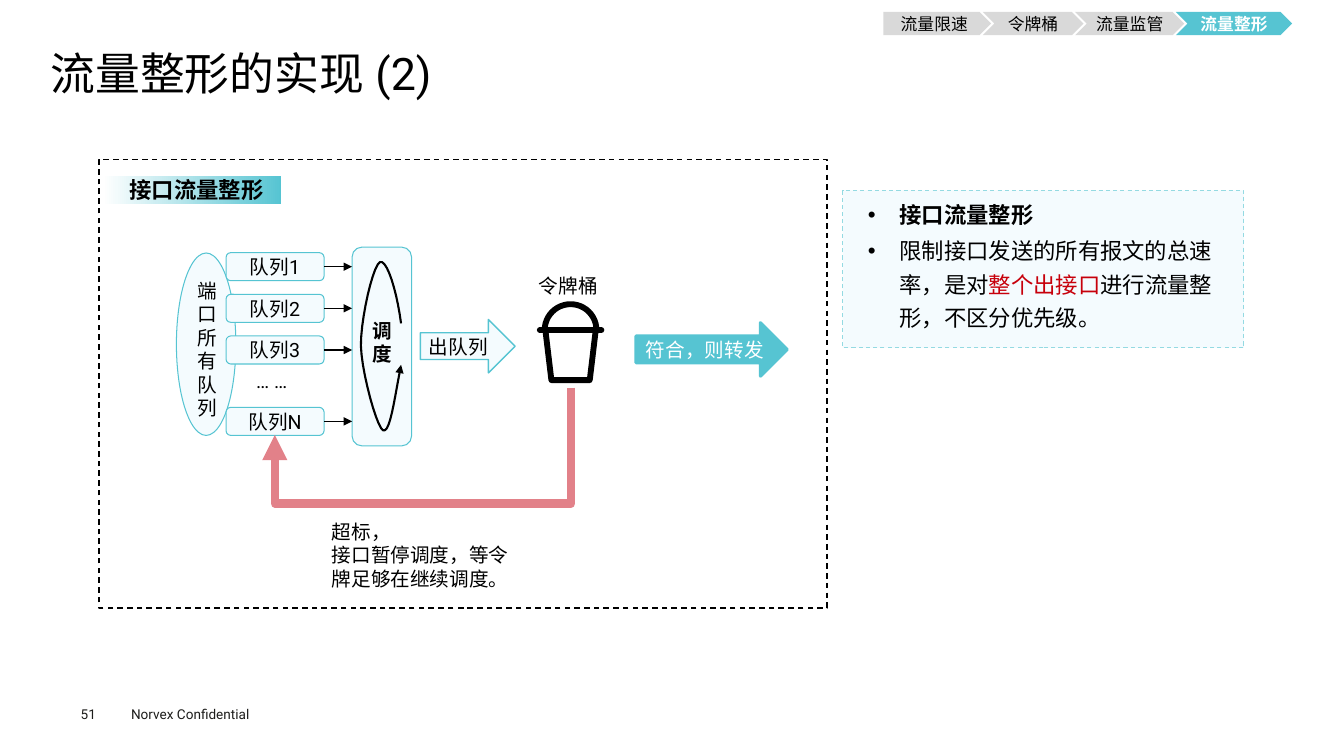
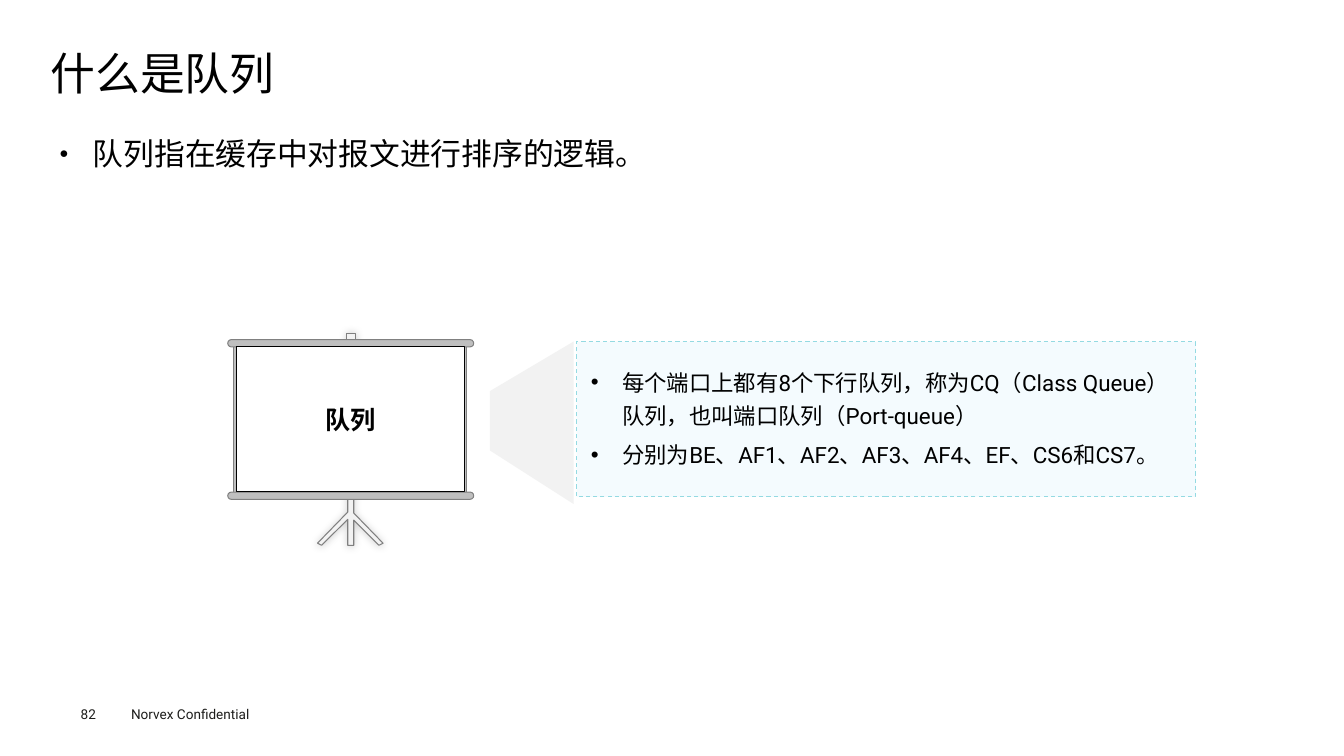
from math import cos, pi, sin

from lxml.etree import SubElement
from pptx import Presentation
from pptx.dml.color import RGBColor
from pptx.enum.dml import MSO_LINE
from pptx.enum.lang import MSO_LANGUAGE_ID as LANG
from pptx.enum.shapes import MSO_CONNECTOR as LINK, MSO_SHAPE as KIND
from pptx.enum.text import MSO_ANCHOR as ANCHOR, PP_ALIGN as ALIGN
from pptx.oxml.ns import qn
from pptx.util import Pt

BLACK = RGBColor(0x00, 0x00, 0x00)
WHITE = RGBColor(0xFF, 0xFF, 0xFF)
INK = RGBColor(0x1D, 0x1D, 0x1B)
TEAL = RGBColor(0x56, 0xC4, 0xD2)
PALE = RGBColor(0xF4, 0xFB, 0xFE)
PANEL_EDGE = RGBColor(0x94, 0xDA, 0xE2)
RED = RGBColor(0xC7, 0x00, 0x0B)
PINK = RGBColor(0xE2, 0x81, 0x89)
TAB_GRAY = RGBColor(0xD9, 0xD9, 0xD9)
LIGHT_GRAY = RGBColor(0xF2, 0xF2, 0xF2)
MID_GRAY = RGBColor(0xBF, 0xBF, 0xBF)
DARK_GRAY = RGBColor(0x80, 0x80, 0x80)
FONT = "Roboto"


def write(shape, text, size=14, color=BLACK, bold_lines=(), accent=None, align=ALIGN.CENTER,
          anchor=ANCHOR.MIDDLE, margins=(0, 0, 0, 0), wrap=True, bullet=None,
          bullet_size=100, indent=22.5, spacing=None, after=0):
    """Fill a shape with paragraphs, one per line of text; accent is set in red."""
    frame = shape.text_frame
    frame.word_wrap, frame.vertical_anchor = wrap, anchor
    frame.margin_left, frame.margin_top, frame.margin_right, frame.margin_bottom = map(Pt, margins)
    for number, line in enumerate(text.split("\n")):
        paragraph = frame.add_paragraph() if number else frame.paragraphs[0]
        paragraph.alignment = align
        paragraph.line_spacing = spacing
        paragraph.space_before, paragraph.space_after = Pt(0), Pt(after)
        if bullet:
            props = paragraph._p.get_or_add_pPr()
            props.set("marL", str(Pt(indent)))
            props.set("indent", str(-Pt(indent)))
            SubElement(props, qn("a:buSzPct")).set("val", str(bullet_size * 1000))
            SubElement(props, qn("a:buFont")).set("typeface", "Arial")
            SubElement(props, qn("a:buChar")).set("char", bullet)
        for piece in line.partition(accent) if accent else (line,):
            if piece:
                run = paragraph.add_run()
                run.text = piece
                font = run.font
                font.name, font.size = FONT, Pt(size)
                font.bold = number in bold_lines
                font.language_id = LANG.SIMPLIFIED_CHINESE
                font.color.rgb = RED if piece == accent else color
                SubElement(run._r.rPr, qn("a:ea")).set("typeface", FONT)
    return shape


def style(shape, fill=None, line=None, weight=0.75, dashed=False, arrow=False):
    """Set fill and line of a shape or connector and drop its shadow."""
    props = shape.element.spPr
    if line is None:
        shape.line.fill.background()
    else:
        shape.line.color.rgb = line
        shape.line.width = Pt(weight)
        if dashed:
            shape.line.dash_style = MSO_LINE.DASH
        if arrow:
            SubElement(shape.get_or_add_ln(), qn("a:tailEnd")).set("type", "triangle")
    if hasattr(shape, "fill"):
        if fill is None:
            shape.fill.background()
        else:
            shape.fill.solid()
            shape.fill.fore_color.rgb = fill
    SubElement(props, qn("a:effectLst"))
    return shape


prs = Presentation()
prs.slide_width, prs.slide_height = Pt(960), Pt(540)

# Title and footer on every slide
slides = []
for layout, page, heading in ((5, "51", "流量整形的实现 (2)"), (1, "82", "什么是队列")):
    slide = prs.slides.add_slide(prs.slide_layouts[layout])
    title = slide.shapes.title
    title.left, title.top, title.width, title.height = map(Pt, (36, 35.3, 886.3, 38.2))
    write(title, heading, size=32, align=ALIGN.LEFT, spacing=0.9)
    for left, footer in ((57.6, page), (93.6, "Norvex Confidential")):
        write(slide.shapes.add_textbox(Pt(left), Pt(500), Pt(110), Pt(20)), footer,
              size=9.7, color=INK, align=ALIGN.LEFT, wrap=False)
    slides.append(slide)
shaping, queues = (slide.shapes for slide in slides)

# ---- Slide 1: chapter tabs
tab_left, overlap = 631, 6
for number, (topic, width) in enumerate((("流量限速", 77), ("令牌桶", 72),
                                         ("流量监管", 78), ("流量整形", 83))):
    active = number == 3
    tab = shaping.add_shape(KIND.CHEVRON if number else KIND.PENTAGON,
                            Pt(tab_left), Pt(8.6), Pt(width), Pt(16.6))
    style(tab, TEAL if active else TAB_GRAY)
    write(tab, topic, size=12, color=WHITE if active else BLACK,
          bold_lines=(0,) if active else (), wrap=False)
    tab_left += width - overlap

# Dashed frame and its gradient label
style(shaping.add_shape(KIND.RECTANGLE, Pt(70.8), Pt(113.8), Pt(520), Pt(320.4)),
      line=BLACK, weight=1, dashed=True)
label = style(shaping.add_shape(KIND.FLOWCHART_PROCESS, Pt(73.5), Pt(126), Pt(127.5), Pt(19.5)))
label.fill.gradient()
label.fill.gradient_angle = 0
for stop, color in zip(label.fill.gradient_stops, (WHITE, TEAL)):
    stop.color.rgb = color
write(label, "接口流量整形", size=16, bold_lines=(0,), align=ALIGN.LEFT,
      margins=(19, 0, 0, 0), wrap=False)

# Port with all its queues
style(shaping.add_shape(KIND.OVAL, Pt(126), Pt(180.7), Pt(42.5), Pt(130.3)), PALE, TEAL)
write(shaping.add_textbox(Pt(134), Pt(195), Pt(28), Pt(109)), "端\n口\n所\n有\n队\n列", wrap=False)
write(shaping.add_textbox(Pt(175), Pt(260), Pt(38), Pt(24)), "… …", wrap=False)

# Scheduler
scheduler_left = 251.5
scheduler = shaping.add_shape(KIND.ROUNDED_RECTANGLE, Pt(scheduler_left), Pt(176.5),
                              Pt(42.5), Pt(142))
style(scheduler, PALE, TEAL)
write(scheduler, "调\n度", bold_lines=(0, 1), margins=(0, 0, 0, 6), wrap=False)

for name, top in (("队列1", 180.5), ("队列2", 210.25), ("队列3", 240), ("队列N", 291)):
    queue = shaping.add_shape(KIND.ROUNDED_RECTANGLE, Pt(161.5), Pt(top), Pt(70), Pt(20))
    write(style(queue, PALE, TEAL), name, wrap=False)
    middle = Pt(top + 10)
    feed = shaping.add_connector(LINK.STRAIGHT, Pt(231.5), middle, Pt(scheduler_left), middle)
    feed.begin_connect(queue, 3)
    style(feed, line=BLACK, weight=1, arrow=True)

# Round-robin loop, sampled from cubic curves
start = (286.5, 231)
curves = (((283.7, 208.8), (276.5, 185), (271.4, 187.2)),
          ((266.4, 190), (257.8, 226.8), (257.8, 247)),
          ((258.5, 267), (269.3, 305.3), (273.6, 307.4)),
          ((278.6, 309.6), (281.5, 286.6), (286.5, 260.6)))
loop = shaping.build_freeform(Pt(start[0]), Pt(start[1]))
for curve in curves:
    corners = (start, *curve)
    points = []
    for step in range(1, 11):
        t = step / 10
        shares = ((1 - t) ** 3, 3 * t * (1 - t) ** 2, 3 * t * t * (1 - t), t ** 3)
        points.append([Pt(sum(s * c[axis] for s, c in zip(shares, corners))) for axis in (0, 1)])
    loop.add_line_segments(points, close=False)
    start = curve[-1]
style(loop.convert_to_shape(), line=BLACK, weight=1.5, arrow=True)

# Arrows between the stages
leaving = shaping.add_shape(KIND.RIGHT_ARROW, Pt(300.3), Pt(228.2), Pt(67.7), Pt(38.2))
write(style(leaving, PALE, TEAL, weight=1), "出队列", margins=(0, 0, 4, 0), wrap=False)
forward = shaping.add_shape(KIND.RIGHT_ARROW, Pt(454.3), Pt(230.5), Pt(108), Pt(38.2))
write(style(forward, TEAL, TEAL, weight=2.25), "符合，则转发", color=WHITE, wrap=False)

# Token bucket: dome, rim and body
write(shaping.add_textbox(Pt(378), Pt(192), Pt(56), Pt(24)), "令牌桶", wrap=False)
center, rim, radius = 407.6, 235.8, 18.5
bucket = shaping.build_freeform(Pt(center - radius), Pt(rim))
bucket.add_line_segments([(Pt(center - radius * cos(pi * k / 24)),
                           Pt(rim - radius * sin(pi * k / 24))) for k in range(1, 25)], close=False)
bucket.move_to(Pt(center - 22), Pt(rim))
bucket.add_line_segments([(Pt(center + 22), Pt(rim))], close=False)
bucket.move_to(Pt(center - 18), Pt(rim))
bucket.add_line_segments([(Pt(center + x), Pt(rim + y))
                          for x, y in ((-13.7, 35.7), (13.7, 35.7), (18, 0))], close=False)
bucket = style(bucket.convert_to_shape(), line=BLACK, weight=4.2)
bucket.get_or_add_ln().set("cap", "rnd")

# Return path from the bucket to the last queue: a quarter-turned elbow
back = shaping.add_connector(LINK.ELBOW, Pt(285.2), Pt(188), Pt(319), Pt(399.7))
back.element.spPr.find(qn("a:xfrm")).set("rot", str(90 * 60000))
bends = back.element.spPr.find(qn("a:prstGeom")).find(qn("a:avLst"))
bend = SubElement(bends, qn("a:gd"))
bend.set("name", "adj1")
bend.set("fmla", "val 244700")
style(back, line=PINK, weight=6, arrow=True)
write(shaping.add_textbox(Pt(227.5), Pt(368), Pt(150.5), Pt(57)),
      "超标，\n接口暂停调度，等令牌足够在继续调度。", align=ALIGN.LEFT, margins=(9.5, 0, 9.5, 0))

# Text panels of both slides
for shapes, box, words, options in (
        (shaping, (602, 136, 286.5, 112.5),
         "接口流量整形\n限制接口发送的所有报文的总速率，是对整个出接口进行流量整形，不区分优先级。",
         dict(bold_lines=(0,), accent="整个出接口", margins=(18, 0, 8.6, 9), after=2)),
        (queues, (412, 244, 442, 111),
         "每个端口上都有8个下行队列，称为CQ（Class Queue）队列，也叫端口队列（Port-queue）\n"
         "分别为BE、AF1、AF2、AF3、AF4、EF、CS6和CS7。",
         dict(margins=(10, 0, 7.2, 6), after=4))):
    panel = style(shapes.add_shape(KIND.RECTANGLE, *map(Pt, box)), PALE, PANEL_EDGE, dashed=True)
    write(panel, words, size=16, align=ALIGN.LEFT, bullet="•", spacing=1.25, **options)

# ---- Slide 2: definition
definition = queues.placeholders[1]
definition.left, definition.top, definition.width, definition.height = map(
    Pt, (36, 82.8, 886.3, 384.5))
write(definition, "队列指在缓存中对报文进行排序的逻辑。", size=22, align=ALIGN.LEFT, anchor=ANCHOR.TOP,
      margins=(6.5, 3, 6.5, 3), bullet="●", bullet_size=50, indent=23.8, spacing=1.4)

# Beam from the screen to the panel
beam = queues.build_freeform(Pt(409.7), Pt(360))
beam.add_line_segments([(Pt(x), Pt(y)) for x, y in ((350, 321.8), (350, 279.4), (409.7, 244))])
style(beam.convert_to_shape(), LIGHT_GRAY)

# Tripod: tip above the screen, legs below, soft shadow
tip = ((247.7, 238.3), (254.2, 238.3), (254.2, 246.2), (247.7, 246.2))
legs = ((248.4, 344.2), (252.7, 344.2), (252.7, 366.5), (273.6, 388), (270.7, 389.5),
        (252.7, 371.5), (252.7, 389.5), (248.4, 389.5), (248.4, 371), (229.7, 389.5),
        (226.8, 388), (248.4, 365.8))
tripod = queues.build_freeform(Pt(tip[0][0]), Pt(tip[0][1]))
tripod.add_line_segments([(Pt(x), Pt(y)) for x, y in tip[1:]])
tripod.move_to(Pt(legs[0][0]), Pt(legs[0][1]))
tripod.add_line_segments([(Pt(x), Pt(y)) for x, y in legs[1:]])
tripod = style(tripod.convert_to_shape(), LIGHT_GRAY, DARK_GRAY)
shadow = SubElement(tripod.element.spPr.find(qn("a:effectLst")), qn("a:outerShdw"))
for key, value in (("blurRad", Pt(6)), ("dist", 0), ("dir", 225 * 60000)):
    shadow.set(key, str(value))
shade = SubElement(shadow, qn("a:srgbClr"))
shade.set("val", str(BLACK))
SubElement(shade, qn("a:alpha")).set("val", "20000")

# Screen: side rails, rollers and canvas
style(queues.add_shape(KIND.RECTANGLE, Pt(167), Pt(247.5), Pt(166.5), Pt(104)),
      MID_GRAY, DARK_GRAY)
for top in (242.6, 351.5):
    roller = queues.add_shape(KIND.ROUNDED_RECTANGLE, Pt(162.7), Pt(top), Pt(175.7), Pt(5.2))
    roller.adjustments[0] = 0.5
    style(roller, MID_GRAY, DARK_GRAY)
canvas = queues.add_shape(KIND.RECTANGLE, Pt(169.2), Pt(247.7), Pt(162.7), Pt(103.7))
write(style(canvas, WHITE, BLACK), "队列", size=18, bold_lines=(0,))

prs.save("out.pptx")
